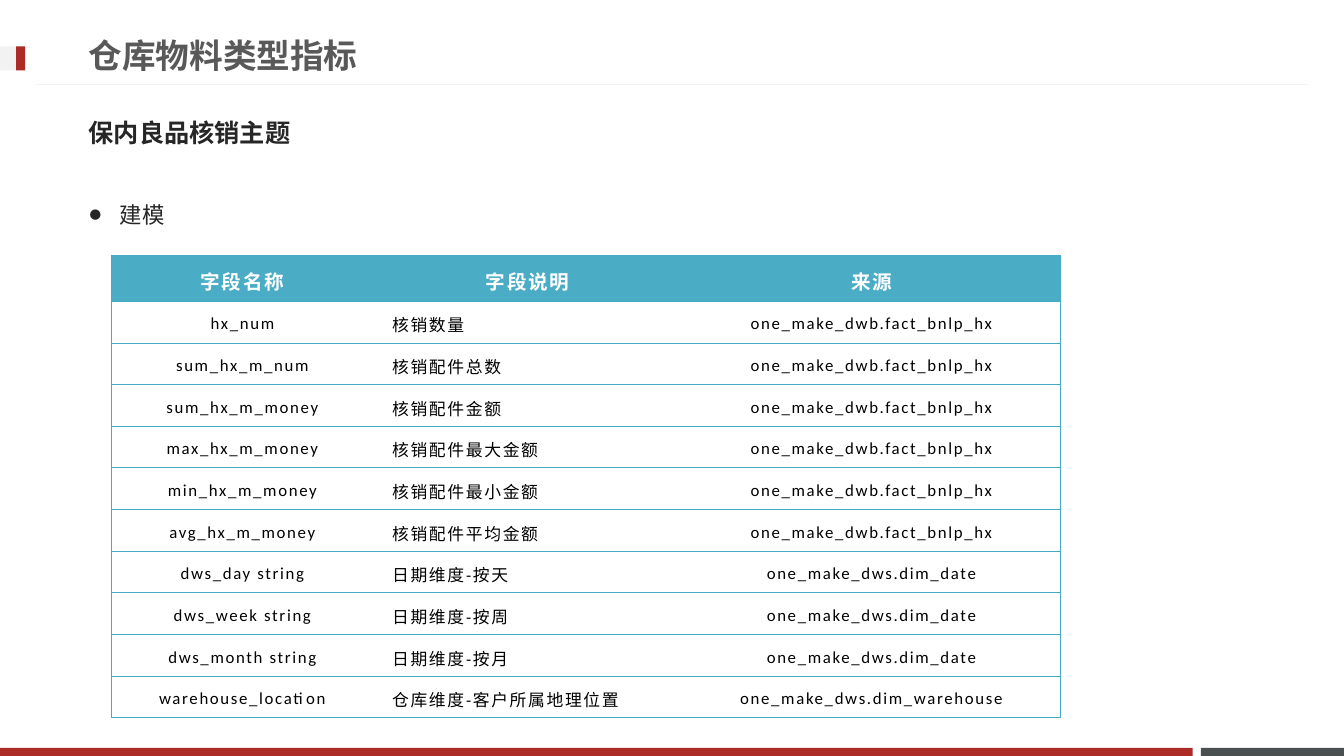
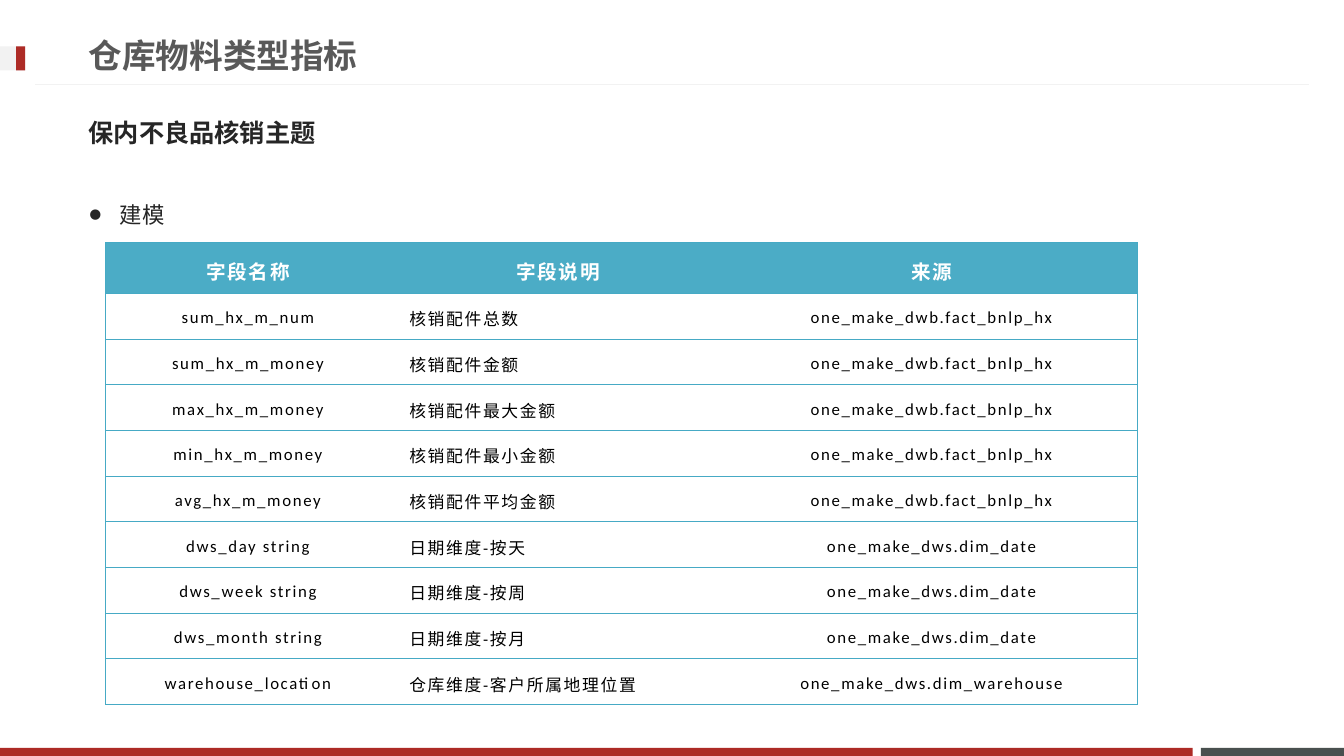
import dataclasses
import typing

import pptx
import pptx.dml.color
import pptx.enum.shapes
import pptx.enum.text
import pptx.oxml
import pptx.oxml.ns
import pptx.util
from pptx.util import Inches

ALIGN = pptx.enum.text.PP_ALIGN
ANCHOR = pptx.enum.text.MSO_ANCHOR


@dataclasses.dataclass(frozen=True)
class Theme:
    red: str = "AD2B26"
    slate: str = "49504F"
    pale: str = "F2F2F2"
    title_ink: str = "595959"
    body_ink: str = "262626"
    cell_ink: str = "000000"
    white: str = "FFFFFF"
    header_fill: str = "4BACC6"
    border: str = "46AAC5"
    title_font: str = "Roboto"
    cjk_font: str = "Noto Sans CJK JP"
    table_font: str = "Calibri"
    title_size: int = 24
    topic_size: int = 18
    bullet_size: int = 16
    header_size: int = 14
    cell_size: int = 12
    line: float = 0.75
    tracking: int = 120


class Box(typing.NamedTuple):
    left: float
    top: float
    width: float
    height: float


class Band(typing.NamedTuple):
    box: Box
    color: str


class Field(typing.NamedTuple):
    name: str
    meaning: str
    source: str


class TopicSlide(typing.NamedTuple):
    topic: str
    fields: list[Field]
    table: Box
    columns: tuple[float, ...]
    header_height: float


THEME = Theme()
TITLE = "仓库物料类型指标"
HEADER = Field("字段名称", "字段说明", "来源")
FACT = "one_make_dwb.fact_bnlp_hx"
DATE = "one_make_dws.dim_date"

BANDS = [
    Band(Box(11.91, 7.42, 1.42, 0.08), THEME.slate),
    Band(Box(0, 7.42, 11.83, 0.08), THEME.red),
    Band(Box(0, 0.46, 0.25, 0.24), THEME.pale),
    Band(Box(0.16, 0.46, 0.09, 0.24), THEME.red),
]
PLACEHOLDERS = [
    Box(0.78, 0.26, 9.59, 0.57),
    Box(0.78, 1.03, 11.7, 0.57),
    Box(0.78, 1.81, 11.7, 0.6),
]
FIELDS = [
    Field("hx_num", "核销数量", FACT),
    Field("sum_hx_m_num", "核销配件总数", FACT),
    Field("sum_hx_m_money", "核销配件金额", FACT),
    Field("max_hx_m_money", "核销配件最大金额", FACT),
    Field("min_hx_m_money", "核销配件最小金额", FACT),
    Field("avg_hx_m_money", "核销配件平均金额", FACT),
    Field("dws_day string", "日期维度-按天", DATE),
    Field("dws_week string", "日期维度-按周", DATE),
    Field("dws_month string", "日期维度-按月", DATE),
    Field("warehouse_location", "仓库维度-客户所属地理位置", "one_make_dws.dim_warehouse"),
]
SLIDES = [
    TopicSlide("保内良品核销主题", FIELDS, Box(1.11, 2.53, 9.41, 4.59),
               (2.59, 3.07, 3.75), 0.46),
    TopicSlide("保内不良品核销主题", FIELDS[1:], Box(1.05, 2.41, 10.23, 4.58),
               (2.82, 3.33, 4.08), 0.5),
]


def rgb(color: str) -> pptx.dml.color.RGBColor:
    return pptx.dml.color.RGBColor.from_string(color)


def add_xml(parent, tag: str, **attrs):
    child = parent.makeelement(pptx.oxml.ns.qn(tag), attrs)
    parent.append(child)
    return child


def write(tf, text: str, *, size: float, color: str, font: str = THEME.cjk_font,
          bold: bool = False, align=ALIGN.LEFT, spacing: float = 1.0,
          tracking: int = 0):
    """Put one formatted run in the frame and return its paragraph."""
    p = tf.paragraphs[0]
    p.alignment = align
    p.line_spacing = spacing
    r = p.add_run()
    r.text = text
    r.font.size = pptx.util.Pt(size)
    r.font.bold = bold
    r.font.name = font
    r.font.color.rgb = rgb(color)
    rPr = r.font._element
    add_xml(rPr, "a:ea", typeface=THEME.cjk_font)
    if tracking:
        rPr.set("spc", str(tracking))
    return p


def set_bullet(p, char: str = "", indent: float = 0) -> None:
    pPr = p._p.get_or_add_pPr()
    pPr.set("marL", str(Inches(indent)))
    pPr.set("indent", str(-Inches(indent)))
    if char:
        add_xml(pPr, "a:buFont", typeface=THEME.table_font)
        add_xml(pPr, "a:buChar", char=char)
    else:
        add_xml(pPr, "a:buNone")


def decorate_layout(layout, s) -> None:
    """Place the layout's placeholders and move the shared bands onto it."""
    tree = layout.element.cSld.spTree
    for sp, box in zip(layout.placeholders, PLACEHOLDERS):
        sp.left, sp.top, sp.width, sp.height = map(Inches, box)
    for band in BANDS:
        sp = s.shapes.add_shape(pptx.enum.shapes.MSO_SHAPE.RECTANGLE,
                                *map(Inches, band.box))
        sp.shadow.inherit = False
        sp.fill.solid()
        sp.fill.fore_color.rgb = rgb(band.color)
        sp.line.fill.background()
        tree.append(sp.element)
    rule = s.shapes.add_connector(pptx.enum.shapes.MSO_CONNECTOR.STRAIGHT,
                                  Inches(12.98), Inches(0.84),
                                  Inches(0.35), Inches(0.84))
    rule.line.color.rgb = rgb(THEME.pale)
    rule.line.width = pptx.util.Pt(THEME.line)
    add_xml(rule.element.spPr, "a:effectLst")
    tree.append(rule.element)


def set_borders(cell, sides: str) -> None:
    """Rule the given sides (from LRTB) and clear the others."""
    tcPr = cell._tc.get_or_add_tcPr()
    for side in "LRTB":
        ln = add_xml(tcPr, f"a:ln{side}", w=str(pptx.util.Pt(THEME.line)))
        if side in sides:
            fill = add_xml(ln, "a:solidFill")
            add_xml(fill, "a:srgbClr", val=THEME.border)
        else:
            add_xml(ln, "a:noFill")


def fill_cell(cell, text: str, is_header: bool, col: int) -> None:
    last_col = len(HEADER) - 1
    set_borders(cell, "TB" + {0: "L", last_col: "R"}.get(col, ""))
    if is_header:
        cell.fill.solid()
        cell.fill.fore_color.rgb = rgb(THEME.header_fill)
    else:
        cell.fill.background()
    cell.vertical_anchor = ANCHOR.MIDDLE
    cell.margin_left = cell.margin_right = Inches(0.19)
    cell.margin_top = cell.margin_bottom = Inches(0.06)
    write(cell.text_frame, text, font=THEME.table_font, bold=is_header,
          size=THEME.header_size if is_header else THEME.cell_size,
          color=THEME.white if is_header else THEME.cell_ink,
          align=ALIGN.CENTER if is_header or col != 1 else ALIGN.LEFT,
          spacing=1.2, tracking=THEME.tracking)


def add_field_table(s, content: TopicSlide) -> None:
    rows = [HEADER, *content.fields]
    table = s.shapes.add_table(len(rows), len(HEADER),
                               *map(Inches, content.table)).table
    table.first_row = table.horz_banding = False
    for column, width in zip(table.columns, content.columns):
        column.width = Inches(width)
    body_height = (content.table.height - content.header_height) / len(content.fields)
    for i, row in enumerate(rows):
        table.rows[i].height = Inches(body_height if i else content.header_height)
        for j, text in enumerate(row):
            fill_cell(table.cell(i, j), text, i == 0, j)


def fill_slide(s, content: TopicSlide) -> None:
    title, topic, bullets = s.placeholders
    for sp, anchor in ((title, ANCHOR.MIDDLE), (topic, ANCHOR.MIDDLE),
                       (bullets, ANCHOR.TOP)):
        sp.text_frame.vertical_anchor = anchor
        sp.text_frame.auto_size = pptx.enum.text.MSO_AUTO_SIZE.NONE
    write(title.text_frame, TITLE, size=THEME.title_size, color=THEME.title_ink,
          font=THEME.title_font, bold=True)
    set_bullet(write(topic.text_frame, content.topic, size=THEME.topic_size,
                     color=THEME.body_ink, bold=True))
    set_bullet(write(bullets.text_frame, "建模", size=THEME.bullet_size,
                     color=THEME.body_ink, spacing=1.5), "●", 0.31)
    add_field_table(s, content)


def main() -> None:
    prs = pptx.Presentation()
    prs.slide_width, prs.slide_height = Inches(13.33), Inches(7.5)
    layout = prs.slide_layouts.get_by_name("Two Content")
    slides = [prs.slides.add_slide(layout) for _ in SLIDES]
    decorate_layout(layout, slides[0])
    for s, content in zip(slides, SLIDES):
        fill_slide(s, content)
    prs.save("out.pptx")


if __name__ == "__main__":
    main()
